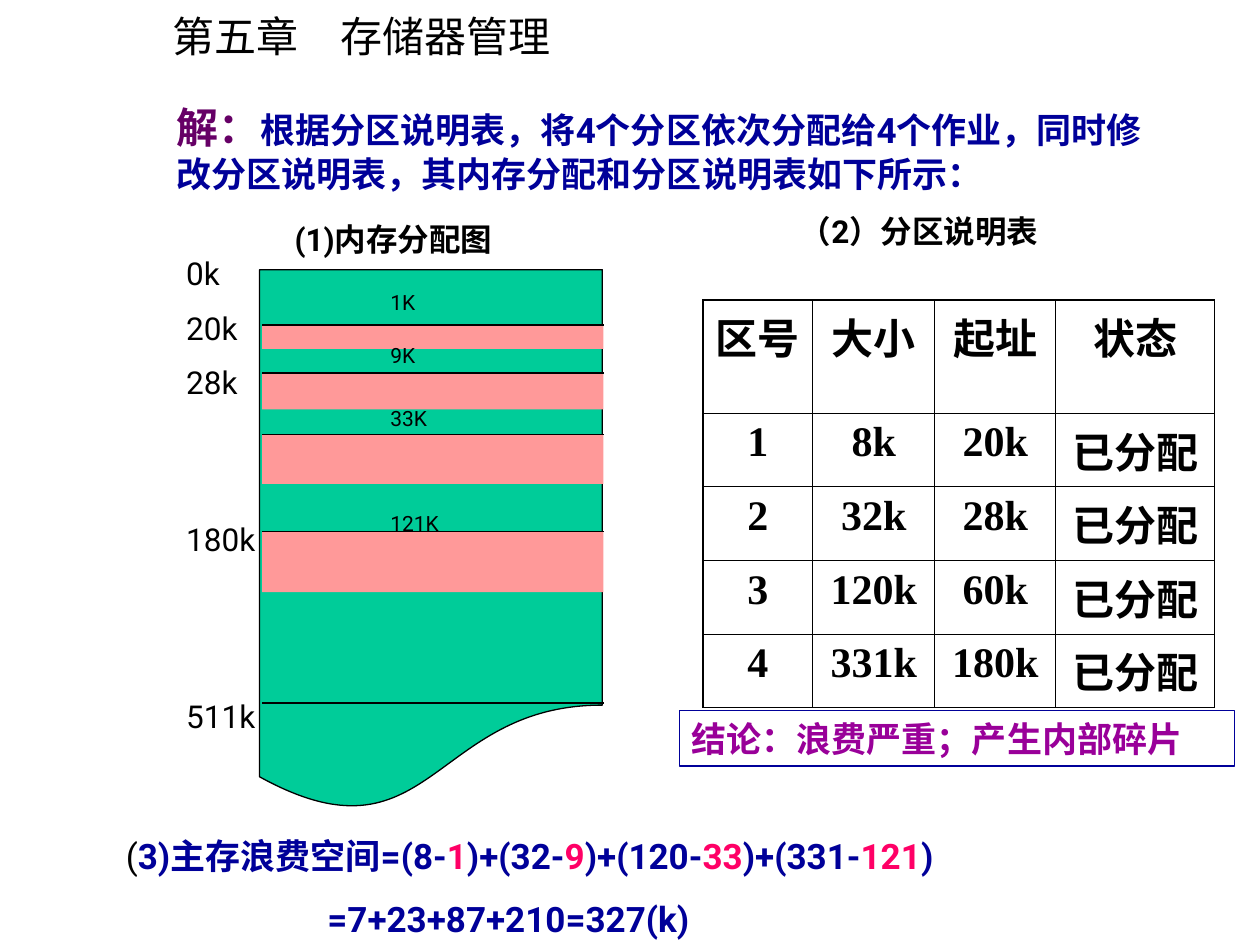
from pptx import Presentation
from pptx.dml.color import RGBColor
from pptx.enum import shapes, text
from pptx.oxml.ns import qn
from pptx.util import Inches, Pt
from lxml import etree

BLACK = RGBColor(0x00, 0x00, 0x00)
NAVY = RGBColor(0x00, 0x00, 0x99)
PINK = RGBColor(0xFF, 0x00, 0x66)
PLUM = RGBColor(0x66, 0x00, 0x66)
PURPLE = RGBColor(0x99, 0x00, 0x99)
GREEN = RGBColor(0x00, 0xCC, 0x99)
ROSE = RGBColor(0xFF, 0x99, 0x99)
SANS, SERIF, CJK = "Roboto", "Times New Roman", "Noto Sans CJK SC"

LEFT, RIGHT = 2.08, 4.79
# top and height of each job's band, then its label and the label's top
JOBS = [(2.58, 0.19, "1K", 2.25), (2.96, 0.29, "9K", 2.67),
        (3.45, 0.39, "33K", 3.17), (4.22, 0.48, "121K", 4.0)]
MARKS = [("0k", 1.97), ("20k", 2.4), ("28k", 2.83),
         ("180k", 4.08), ("511k", 5.48)]
ROWS = [("区号", "大小", "起址", "状态"),
        ("1", "8k", "20k", "已分配"),
        ("2", "32k", "28k", "已分配"),
        ("3", "120k", "60k", "已分配"),
        ("4", "331k", "180k", "已分配")]
WIDTHS = [0.87, 0.97, 0.96, 1.26]
HEIGHTS = [0.9] + [0.5] * 4


def add_run(para, words, size, color=BLACK, bold=False, face=SANS):
    run = para.add_run()
    run.text = words
    font = run.font
    font.size, font.bold, font.name = Pt(size), bold, face
    font.color.rgb = color


def add_text(slide, box, *runs, wrap=True):
    """Add a text box; each run is the arguments of add_run."""
    frame = slide.shapes.add_textbox(*map(Inches, box)).text_frame
    frame.word_wrap = wrap
    for run in runs:
        add_run(frame.paragraphs[0], *run)
    return frame


def add_block(slide, kind, box, fill=None, line=None):
    block = slide.shapes.add_shape(kind, *map(Inches, box))
    block.shadow.inherit = False
    if fill is None:
        block.fill.background()
    else:
        block.fill.solid()
        block.fill.fore_color.rgb = fill
    if line is None:
        block.line.fill.background()
    else:
        block.line.color.rgb = line
        block.line.width = Pt(0.75)
    return block


def add_rule(slide, y):
    rule = slide.shapes.add_connector(
        shapes.MSO_CONNECTOR.STRAIGHT,
        Inches(LEFT), Inches(y), Inches(RIGHT), Inches(y))
    rule.line.color.rgb = BLACK
    rule.line.width = Pt(0.75)
    etree.SubElement(rule._element.spPr, qn("a:effectLst"))


def set_edges(cell, widths):
    """Draw the cell's left, right, top and bottom borders."""
    props = cell._tc.get_or_add_tcPr()
    for at, (side, width) in enumerate(zip("LRTB", widths)):
        edge = etree.Element(qn("a:ln" + side), w=str(Pt(width)))
        fill = etree.SubElement(edge, qn("a:solidFill"))
        etree.SubElement(fill, qn("a:srgbClr"), val=str(BLACK))
        props.insert(at, edge)


def add_title(slide):
    title = slide.shapes.title
    title.left, title.top = Inches(1.27), Inches(0.03)
    title.width, title.height = Inches(3.27), Inches(0.5)
    frame = title.text_frame
    frame.word_wrap = False
    frame.vertical_anchor = text.MSO_ANCHOR.TOP
    para = frame.paragraphs[0]
    para.alignment = text.PP_ALIGN.LEFT
    add_run(para, "第五章\u3000存储器管理".replace("\u3000", "　"), 24, face=CJK)


def add_grid(slide):
    grid = slide.shapes.add_table(
        len(ROWS), len(WIDTHS), Inches(5.58), Inches(2.38),
        Inches(sum(WIDTHS)), Inches(sum(HEIGHTS))).table
    for col, width in zip(grid.columns, WIDTHS):
        col.width = Inches(width)
    for row, height in zip(grid.rows, HEIGHTS):
        row.height = Inches(height)
    thick, thin = 1.08, 0.45
    for r, row in enumerate(ROWS):
        for c, words in enumerate(row):
            cell = grid.cell(r, c)
            cell.fill.background()
            para = cell.text_frame.paragraphs[0]
            para.alignment = text.PP_ALIGN.CENTER
            add_run(para, words, 24, bold=True, face=SERIF)
            outer = (c == 0, c == len(WIDTHS) - 1, r == 0, r == len(ROWS) - 1)
            set_edges(cell, [thick if o else thin for o in outer])


def add_memory(slide):
    add_block(slide, shapes.MSO_SHAPE.FLOWCHART_DOCUMENT,
              (2.06, 2.14, 2.72, 4.31), GREEN, BLACK)
    for top, height, name, y in JOBS:
        add_block(slide, shapes.MSO_SHAPE.RECTANGLE,
                  (LEFT, top, RIGHT - LEFT, height), ROSE)
        add_rule(slide, top)
        add_text(slide, (3, y, 0.83, 0.3), (name, 12))
    add_rule(slide, 5.58)
    for name, y in MARKS:
        add_text(slide, (1.38, y, 0.87, 0.4), (name, 18))


def add_sum(slide):
    pairs = [("(8-", "1"), (")+(32-", "9"), (")+(120-", "33"),
             (")+(331-", "121")]
    runs = [("(", 20), ("3)主存浪费空间=", 20, NAVY, True)]
    for size, used in pairs:
        runs += [(size, 20, NAVY, True), (used, 20, PINK, True)]
    frame = add_text(slide, (0.9, 6.57, 8.75, 0.94), *runs,
                     (")", 20, NAVY, True))
    para = frame.add_paragraph()
    para.space_before = Pt(12.5)
    para._p.get_or_add_pPr().set("marL", str(Inches(1.6)))
    add_run(para, "=7+23+87+210=327(k)", 20, NAVY, True)


def main():
    deck = Presentation()
    deck.slide_width, deck.slide_height = Inches(10), Inches(7.5)
    slide = deck.slides.add_slide(deck.slide_layouts[5])
    add_title(slide)
    add_grid(slide)
    add_text(slide, (6.25, 1.63, 2.53, 0.4), ("（2）分区说明表", 18, BLACK, True))
    add_memory(slide)
    add_text(slide, (2.24, 1.7, 2.33, 0.4), ("(1)", 18, BLACK, True),
             ("内存分配图", 18, BLACK, True, SERIF))
    add_sum(slide)
    add_text(slide, (1.3, 0.76, 7.92, 0.84), ("解：", 24, PLUM, True),
             ("根据分区说明表，将4个分区依次分配给4个作业，同时修改分区说明表，"
              "其内存分配和分区说明表如下所示：", 20, NAVY, True))
    note = add_block(slide, shapes.MSO_SHAPE.RECTANGLE,
                     (5.39, 5.64, 4.41, 0.44), line=NAVY)
    para = note.text_frame.paragraphs[0]
    para.alignment = text.PP_ALIGN.LEFT
    add_run(para, "结论：浪费严重；产生内部碎片", 20, PURPLE, True, SERIF)
    deck.save("out.pptx")


if __name__ == "__main__":
    main()
